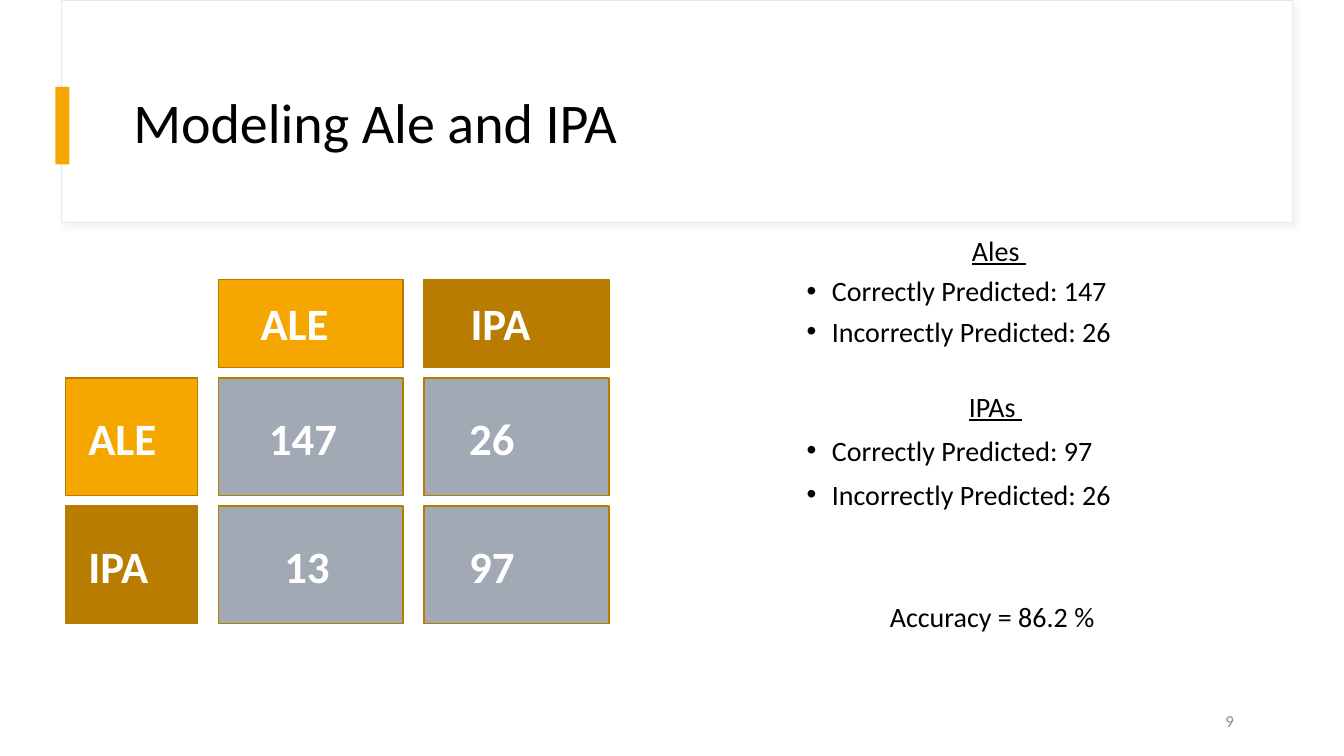
import pptx
import pptx.dml.color
import pptx.enum.shapes
import pptx.enum.text
import pptx.oxml
import pptx.util
from dataclasses import dataclass

Pt = pptx.util.Pt
RGB = pptx.dml.color.RGBColor.from_string
ALIGN = pptx.enum.text.PP_ALIGN
ANCHOR = pptx.enum.text.MSO_ANCHOR
NS = 'xmlns:a="http://schemas.openxmlformats.org/drawingml/2006/main"'


@dataclass(frozen=True)
class Theme:
    font: str = "Calibri"
    text: str = "000000"
    white: str = "FFFFFF"
    muted: str = "8C8C8C"
    panel_line: str = "E9E9E9"
    shadow: str = "D9D9D9"
    ale: str = "F5A700"
    ipa: str = "B87D00"
    cell: str = "A1A9B5"
    cell_line: str = "B57C00"
    title_size: int = 40
    cell_size: int = 32
    body_size: int = 20
    number_size: int = 12


theme = Theme()
prs = pptx.Presentation()
prs.slide_width, prs.slide_height = Pt(960), Pt(540)
s = prs.slides.add_slide(prs.slide_layouts.get_by_name("Two Content"))
title, ales, ipas = s.placeholders


def add_box(x, y, w, h, fill, line=None, weight=1):
    sp = s.shapes.add_shape(pptx.enum.shapes.MSO_SHAPE.RECTANGLE, Pt(x), Pt(y), Pt(w), Pt(h))
    sp.shadow.inherit = False
    sp.fill.solid()
    sp.fill.fore_color.rgb = RGB(fill)
    if line:
        sp.line.color.rgb = RGB(line)
        sp.line.width = Pt(weight)
    else:
        sp.line.fill.background()
    return sp


def write(sp, x, y, w, h, lines, size, color=theme.text, bold=False, anchor=ANCHOR.TOP):
    sp.left, sp.top, sp.width, sp.height = Pt(x), Pt(y), Pt(w), Pt(h)
    tf = sp.text_frame
    tf.text = "\n".join(lines)
    tf.word_wrap = True
    tf.auto_size = pptx.enum.text.MSO_AUTO_SIZE.NONE
    tf.vertical_anchor = anchor
    for p in tf.paragraphs:
        p.alignment = ALIGN.LEFT
        f = p.runs[0].font
        f.name, f.size, f.bold = theme.font, Pt(size), bold
        f.color.rgb = RGB(color)
    return tf


panel = add_box(44, 0, 879, 159, theme.white, theme.panel_line, 0.75)
effects = panel.element.spPr.find("{*}effectLst")
effects.append(pptx.oxml.parse_xml(
    f'<a:outerShdw {NS} blurRad="{Pt(4)}" dist="{Pt(3)}" dir="2700000" algn="tl" rotWithShape="0">'
    f'<a:srgbClr val="{theme.shadow}"><a:alpha val="30000"/></a:srgbClr></a:outerShdw>'))
accent = add_box(39.5, 62, 10, 55.5, theme.ale)
for sp in (panel, accent):
    title.element.addprevious(sp.element)

tf = write(title, 88, 43, 800, 93, ["Modeling Ale and IPA"], theme.title_size, anchor=ANCHOR.MIDDLE)
tf.paragraphs[0].line_spacing = 0.9

columns = [(47, 94), (156, 132), (303, 132)]
rows = [(199.5, 63, 208), (270, 84, 290), (361.5, 84, 381)]
matrix = [
    [None, ("ALE", theme.ale, 179), ("IPA", theme.ipa, 329)],
    [("ALE", theme.ale, 56), ("147", theme.cell, 185), ("26", theme.cell, 328)],
    [("IPA", theme.ipa, 56), ("13", theme.cell, 196), ("97", theme.cell, 328)],
]
for (y, h, text_y), cells in zip(rows, matrix):
    for (x, w), cell in zip(columns, cells):
        if cell:
            label, fill, text_x = cell
            add_box(x, y, w, h, fill, theme.cell_line)
            tb = s.shapes.add_textbox(0, 0, 0, 0)
            write(tb, text_x, text_y, 95, 46, [label], theme.cell_size, theme.white, True)

summaries = [
    (ales, 163, 361, 90, 1.0, ["Ales ", "Correctly Predicted: 147", "Incorrectly Predicted: 26"]),
    (ipas, 272, 356, 102, 1.1, ["IPAs ", "Correctly Predicted: 97", "Incorrectly Predicted: 26"]),
]
for sp, y, w, h, spacing, lines in summaries:
    tf = write(sp, 533, y, w, h, lines, theme.body_size)
    for i, p in enumerate(tf.paragraphs):
        p.line_spacing = spacing
        p.space_before = Pt(5 if i else 10)
        pPr = p._p.get_or_add_pPr()
        if i:
            p.level = 1
            pPr.set("marL", str(Pt(54)))
            pPr.set("indent", str(Pt(-18)))
            pPr.append(pptx.oxml.parse_xml(f'<a:buFont {NS} typeface="Arial"/>'))
            pPr.append(pptx.oxml.parse_xml(f'<a:buChar {NS} char="•"/>'))
        else:
            p.alignment = ALIGN.CENTER
            p.runs[0].font.underline = True
            pPr.set("marL", "0")
            pPr.set("indent", "0")
            pPr.append(pptx.oxml.parse_xml(f'<a:buNone {NS}/>'))

accuracy = s.shapes.add_textbox(0, 0, 0, 0)
tf = write(accuracy, 628.5, 381, 209.5, 122, ["Accuracy = 86.2 %"], theme.body_size)
tf.margin_top = Pt(45)
tf.paragraphs[0].line_spacing = 1.1

number = s.shapes.add_textbox(0, 0, 0, 0)
tf = write(number, 672.5, 500.5, 216, 29, ["9"], theme.number_size, theme.muted, anchor=ANCHOR.MIDDLE)
tf.paragraphs[0].alignment = ALIGN.RIGHT

prs.save("out.pptx")
